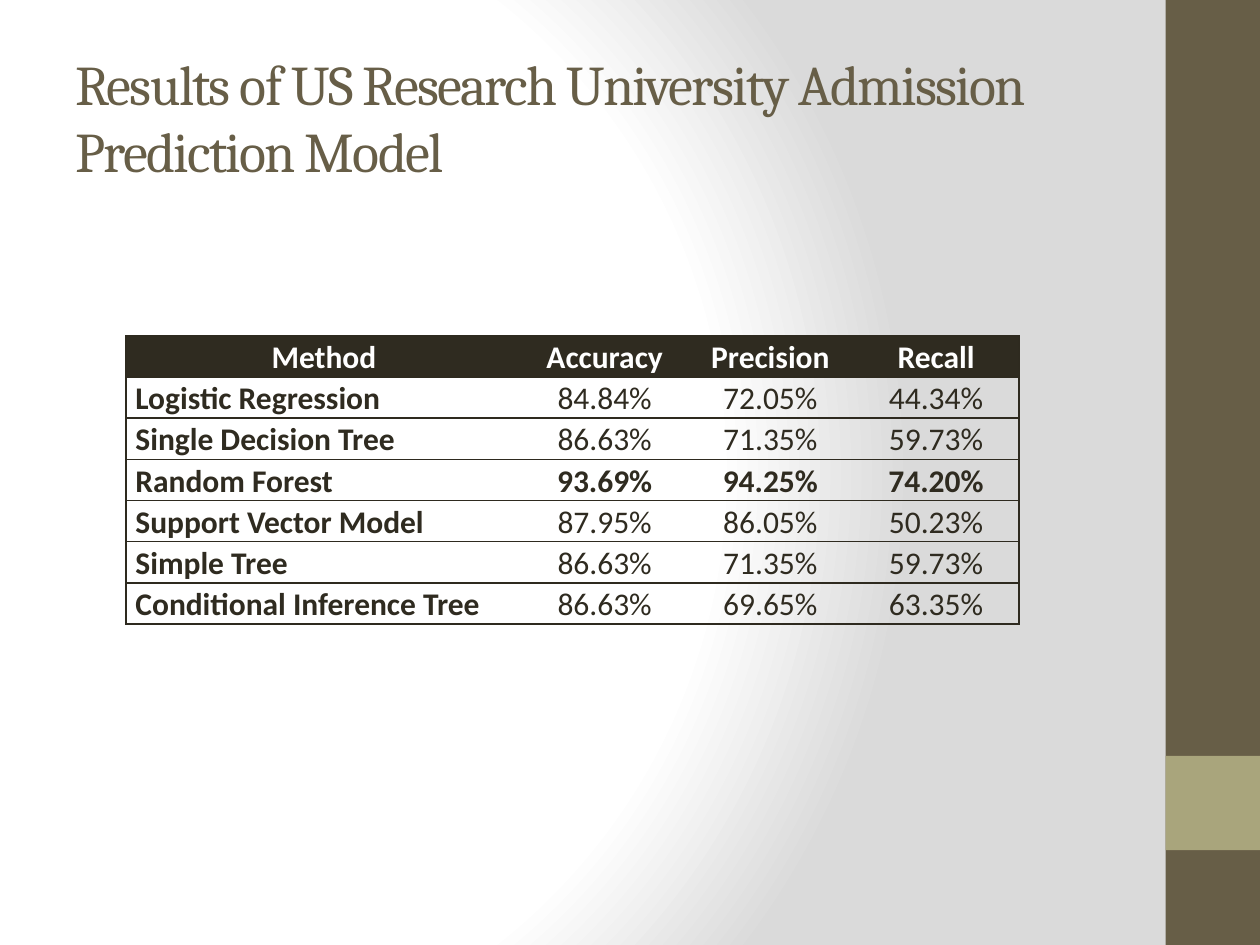
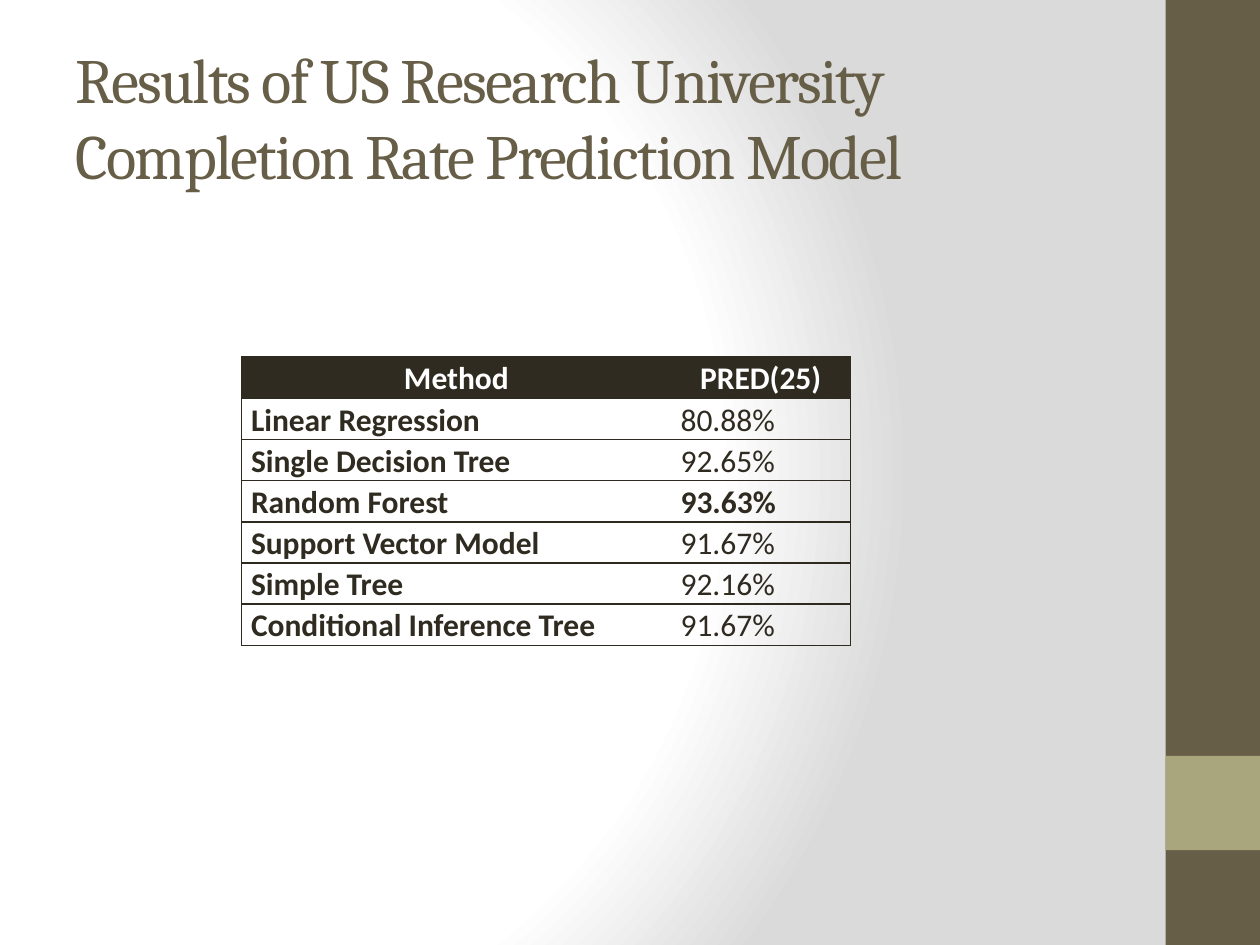
from lxml.etree import SubElement
from pptx import Presentation
from pptx.dml.color import RGBColor
from pptx.enum.shapes import MSO_SHAPE
from pptx.enum.text import MSO_ANCHOR, PP_ALIGN
from pptx.oxml.ns import qn
from pptx.util import Cm, Pt

BROWN = "675E47"
SAND = "A9A57C"
INK = "2F2B20"
RULE = "2E2A1F"
WHITE = "FFFFFF"
SILVER = "DADADA"
HEADING_FONT = "Cambria"
BODY_FONT = "Calibri"
BACKDROP_STOPS = [(0, WHITE), (75, WHITE), (100, SILVER)]
BACKDROP_FOCUS = {"l": 20, "t": 50, "r": 100, "b": 50}
ROW_HEIGHT = 0.83

ADMISSION = [
    ("Method", "Accuracy", "Precision", "Recall"),
    ("Logistic Regression", "84.84%", "72.05%", "44.34%"),
    ("Single Decision Tree", "86.63%", "71.35%", "59.73%"),
    ("Random Forest", "93.69%", "94.25%", "74.20%"),
    ("Support Vector Model", "87.95%", "86.05%", "50.23%"),
    ("Simple Tree", "86.63%", "71.35%", "59.73%"),
    ("Conditional Inference Tree", "86.63%", "69.65%", "63.35%"),
]
COMPLETION = [
    ("Method", "PRED(25)"),
    ("Linear Regression", "80.88%"),
    ("Single Decision Tree", "92.65%"),
    ("Random Forest", "93.63%"),
    ("Support Vector Model", "91.67%"),
    ("Simple Tree", "92.16%"),
    ("Conditional Inference Tree", "91.67%"),
]
BEST_METHOD = "Random Forest"


def rgb(code):
    return RGBColor.from_string(code)


def write(frame, text, *, size, font, color, bold=False,
          align=PP_ALIGN.LEFT, line_spacing=1.0, tracking=0):
    paragraph = frame.paragraphs[0]
    paragraph.alignment = align
    paragraph.line_spacing = line_spacing
    run = paragraph.add_run()
    run.text = text
    run.font.size = Pt(size)
    run.font.name = font
    run.font.bold = bold
    run.font.color.rgb = rgb(color)
    if tracking:
        run.font._element.set("spc", str(tracking * 100))


def paint_backdrop(slide):
    slide.background.fill.solid()
    backdrop = slide.element.cSld.bg.find(qn("p:bgPr"))
    backdrop.remove(backdrop[0])
    gradient = SubElement(backdrop, qn("a:gradFill"), rotWithShape="1")
    backdrop.insert(0, gradient)
    stops = SubElement(gradient, qn("a:gsLst"))
    for position, color in BACKDROP_STOPS:
        stop = SubElement(stops, qn("a:gs"), pos=str(position * 1000))
        SubElement(stop, qn("a:srgbClr"), val=color)
    circle = SubElement(gradient, qn("a:path"), path="circle")
    focus = {side: str(share * 1000) for side, share in BACKDROP_FOCUS.items()}
    SubElement(circle, qn("a:fillToRect"), focus)


def add_band(slide, top, height, color):
    band = slide.shapes.add_shape(MSO_SHAPE.RECTANGLE, Cm(23.5), Cm(top), Cm(1.9), Cm(height))
    band.shadow.inherit = False
    band.fill.solid()
    band.fill.fore_color.rgb = rgb(color)
    band.line.fill.background()


def add_title(slide, text, size):
    title = slide.shapes.add_textbox(Cm(1.27), Cm(0.76), Cm(21.16), Cm(3.18))
    title.text_frame.word_wrap = True
    title.text_frame.vertical_anchor = MSO_ANCHOR.MIDDLE
    write(title.text_frame, text, size=size, font=HEADING_FONT, color=BROWN, tracking=-1)


def rule_cell(cell, ruled_sides):
    properties = cell._tc.get_or_add_tcPr()
    for index, side in enumerate("LRTB"):
        border = SubElement(properties, qn(f"a:ln{side}"), w=str(Pt(1)))
        properties.insert(index, border)
        if side in ruled_sides:
            paint = SubElement(border, qn("a:solidFill"))
            SubElement(paint, qn("a:srgbClr"), val=RULE)
        else:
            SubElement(border, qn("a:noFill"))


def add_results(slide, results, left, top, widths, value_align):
    table = slide.shapes.add_table(
        len(results), len(widths), Cm(left), Cm(top),
        Cm(sum(widths)), Cm(ROW_HEIGHT * len(results))).table
    table.horz_banding = False
    for column, width in zip(table.columns, widths):
        column.width = Cm(width)
    for r, record in enumerate(results):
        table.rows[r].height = Cm(ROW_HEIGHT)
        for c, text in enumerate(record):
            cell = table.cell(r, c)
            cell.margin_left = cell.margin_right = Cm(0.19)
            cell.margin_top = cell.margin_bottom = 0
            is_header = r == 0
            if is_header:
                cell.fill.solid()
                cell.fill.fore_color.rgb = rgb(INK)
                align = PP_ALIGN.CENTER
            else:
                cell.fill.background()
                align = value_align if c else PP_ALIGN.LEFT
            write(cell.text_frame, text, size=18, font=BODY_FONT,
                  color=WHITE if is_header else INK,
                  bold=is_header or c == 0 or record[0] == BEST_METHOD,
                  align=align, line_spacing=1.07)
            ruled_sides = "TB" + "L" * (c == 0) + "R" * (c == len(widths) - 1)
            rule_cell(cell, ruled_sides)


def add_results_slide(deck, title, title_size, results, **placement):
    slide = deck.slides.add_slide(deck.slide_layouts[6])
    paint_backdrop(slide)
    add_band(slide, 0, 19.05, BROWN)
    add_band(slide, 15.24, 1.9, SAND)
    add_title(slide, title, title_size)
    add_results(slide, results, **placement)


def main():
    deck = Presentation()
    deck.slide_width, deck.slide_height = Cm(25.4), Cm(19.05)
    add_results_slide(
        deck, "Results of US Research University Admission Prediction Model", 32,
        ADMISSION, left=2.54, top=6.77, widths=[7.98] + [3.34] * 3,
        value_align=PP_ALIGN.CENTER)
    add_results_slide(
        deck, "Results of US Research University Completion Rate Prediction Model", 36,
        COMPLETION, left=4.87, top=7.2, widths=[8.66, 3.61],
        value_align=PP_ALIGN.LEFT)
    deck.save("out.pptx")


if __name__ == "__main__":
    main()
